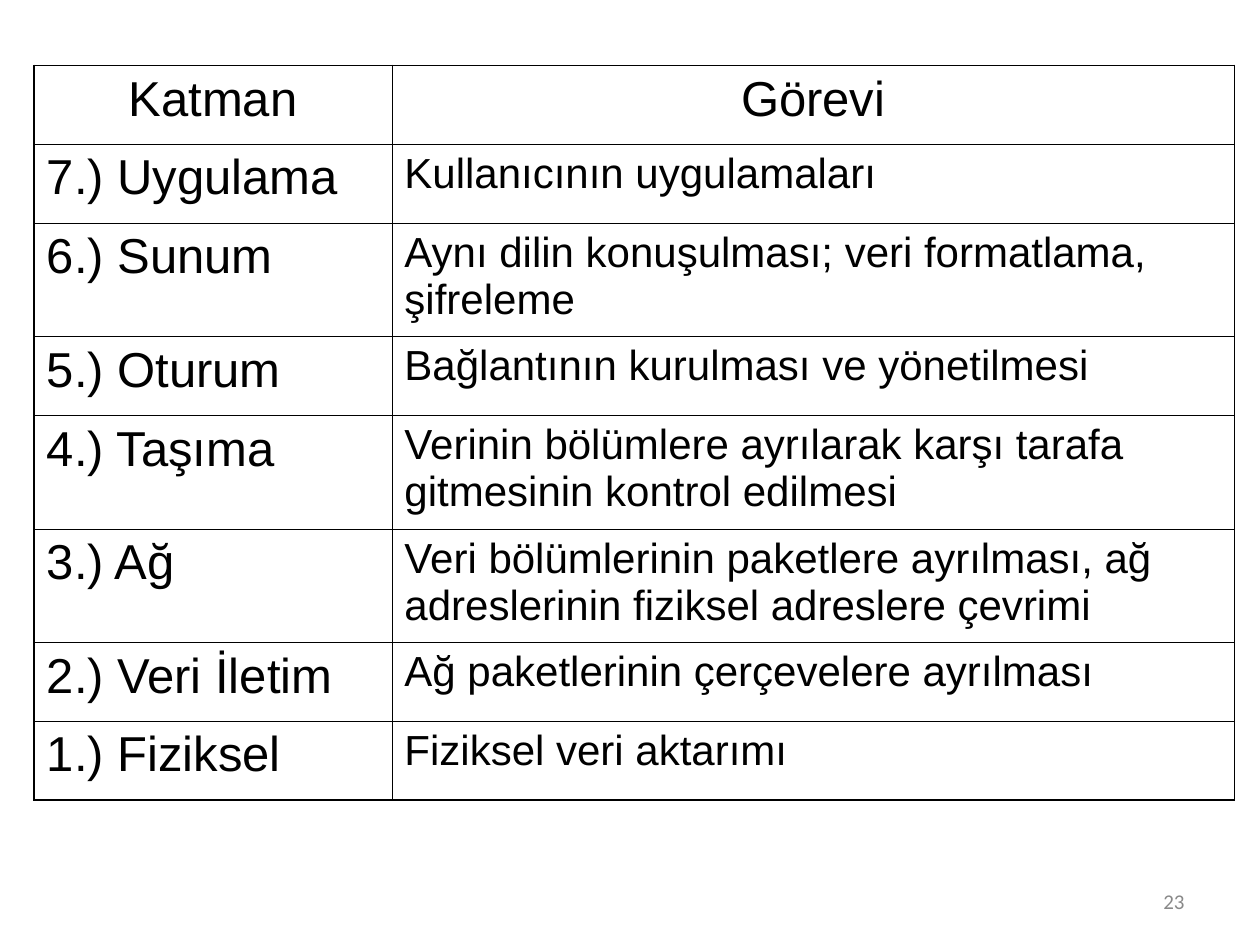
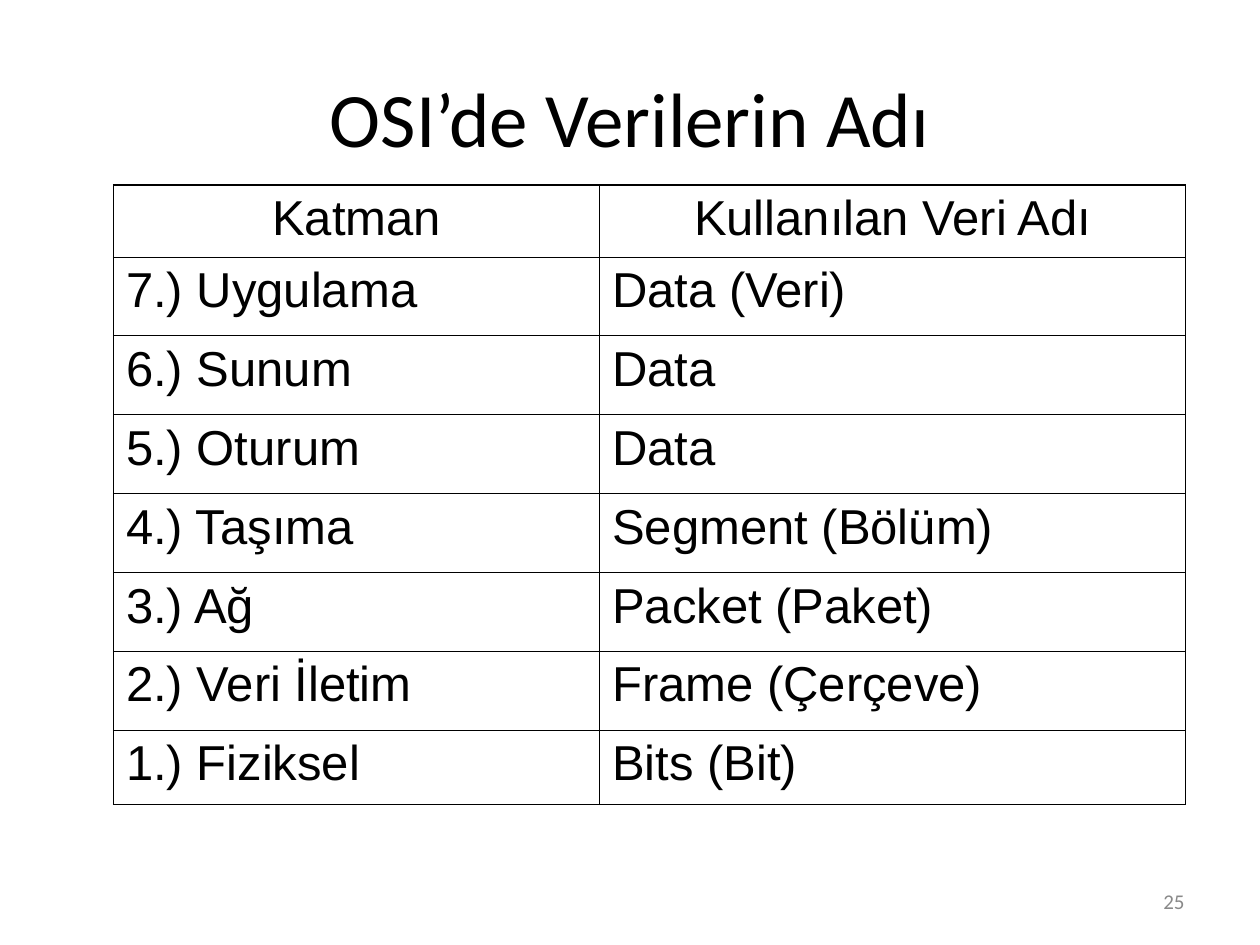
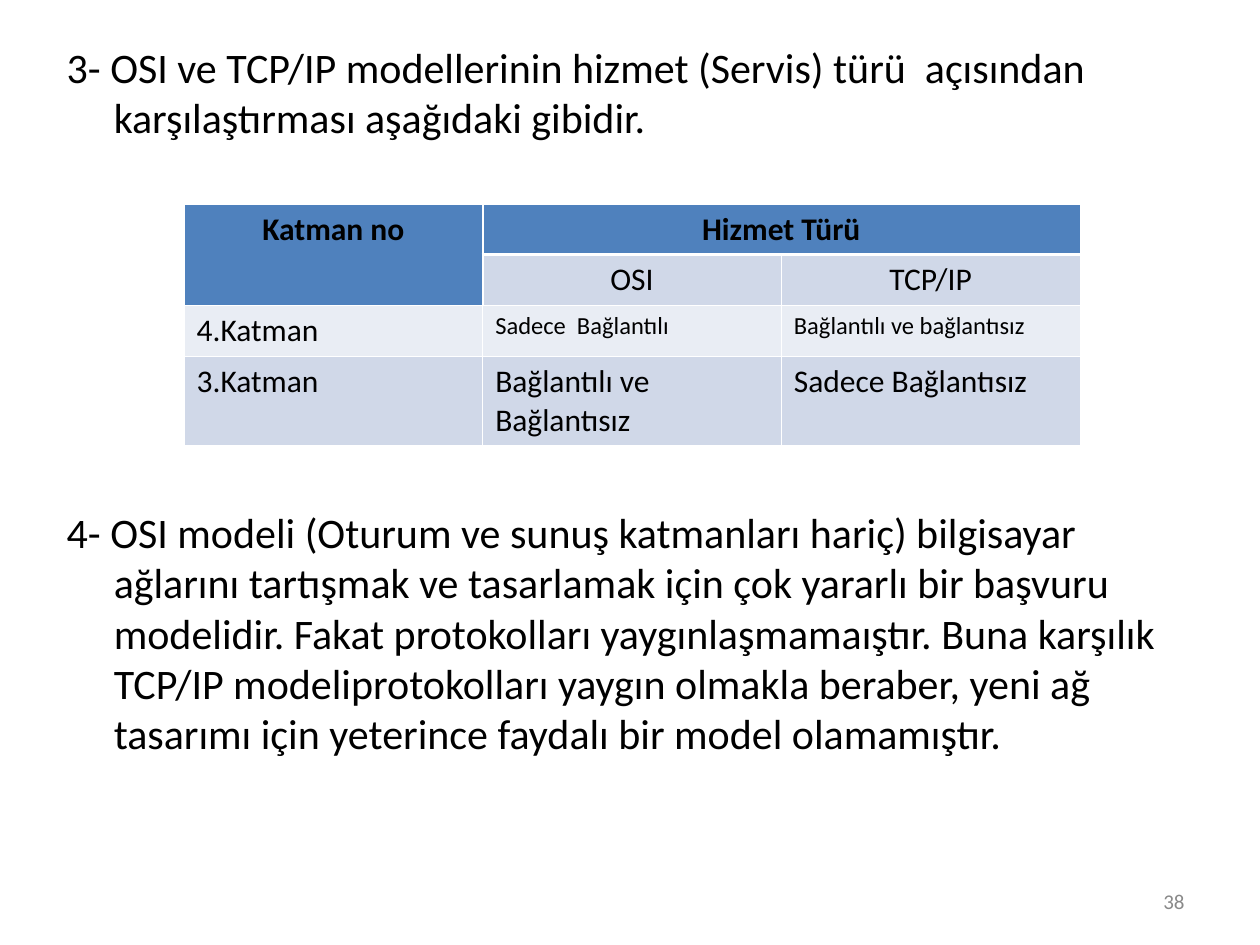
import lxml.etree
import pptx
import pptx.dml.color
import pptx.enum.text
import pptx.oxml.ns
import pptx.util

Cm, Pt = pptx.util.Cm, pptx.util.Pt
ALIGN = pptx.enum.text.PP_ALIGN
ANCHOR = pptx.enum.text.MSO_ANCHOR
qn = pptx.oxml.ns.qn

HUES = {"ink": "000000", "gray": "898989", "line": "FFFFFF",
        "head": "4F81BD", "dark": "D0D8E8", "pale": "E9EDF4"}

LAYERS = ["7.) Uygulama", "6.) Sunum", "5.) Oturum", "4.) Taşıma",
          "3.) Ağ", "2.) Veri İletim", "1.) Fiziksel"]
TASKS = ["Kullanıcının uygulamaları",
         "Aynı dilin konuşulması; veri formatlama, şifreleme",
         "Bağlantının kurulması ve yönetilmesi",
         "Verinin bölümlere ayrılarak karşı tarafa gitmesinin kontrol edilmesi",
         "Veri bölümlerinin paketlere ayrılması, ağ adreslerinin fiziksel adreslere çevrimi",
         "Ağ paketlerinin çerçevelere ayrılması",
         "Fiziksel veri aktarımı"]
UNITS = ["Data (Veri)", "Data", "Data", "Segment (Bölüm)",
         "Packet (Paket)", "Frame (Çerçeve)", "Bits (Bit)"]
NOTES = ["3- OSI ve TCP/IP modellerinin hizmet (Servis) türü  açısından "
         "karşılaştırması aşağıdaki gibidir.",
         "4- OSI modeli (Oturum ve sunuş katmanları hariç) bilgisayar ağlarını "
         "tartışmak ve tasarlamak için çok yararlı bir başvuru modelidir. Fakat "
         "protokolları yaygınlaşmamaıştır. Buna karşılık TCP/IP "
         "modeliprotokolları yaygın olmakla beraber, yeni ağ tasarımı için "
         "yeterince faydalı bir model olamamıştır."]


class Deck:
    def __init__(self):
        self.prs = pptx.Presentation()
        self.prs.slide_width, self.prs.slide_height = Cm(25.4), Cm(19.05)
        self.slide = None

    # Slide with its page number
    def page(self, layout, number):
        self.slide = self.prs.slides.add_slide(self.prs.slide_layouts[layout])
        box = self.slide.shapes.add_textbox(Cm(18.21), Cm(17.65), Cm(5.92), Cm(1.02))
        box.text_frame.word_wrap = True
        box.text_frame.vertical_anchor = ANCHOR.MIDDLE
        self.label(box.text_frame.paragraphs[0], number, 12, hue="gray", align=ALIGN.RIGHT)

    def label(self, para, text, size, name="Calibri", hue="ink", bold=False, align=ALIGN.LEFT):
        para.alignment = align
        run = para.add_run()
        run.text = text
        for key, value in {"name": name, "size": Pt(size), "bold": bold}.items():
            setattr(run.font, key, value)
        run.font.color.rgb = pptx.dml.color.RGBColor.from_string(HUES[hue])

    def place(self, shape, left, top, width, height):
        spots = {"left": left, "top": top, "width": width, "height": height}
        for key, value in spots.items():
            setattr(shape, key, Cm(value))
        shape.text_frame.auto_size = pptx.enum.text.MSO_AUTO_SIZE.NONE

    def title(self, text):
        shape = self.slide.shapes.title
        self.place(shape, 1.27, 0.76, 22.86, 3.18)
        shape.text_frame.vertical_anchor = ANCHOR.MIDDLE
        self.label(shape.text_frame.paragraphs[0], text, 44, align=ALIGN.CENTER)

    # List with hanging indents; gap is the space between items
    def body(self, items, gap):
        head = self.slide.shapes.title.element
        head.getparent().remove(head)
        shape = self.slide.placeholders[1]
        self.place(shape, 1.09, 0.71, 22.86, 16)
        frame = shape.text_frame
        frame.vertical_anchor = ANCHOR.TOP
        for i, text in enumerate(items):
            para = frame.add_paragraph() if i else frame.paragraphs[0]
            props = para._p.get_or_add_pPr()
            props.set("marL", str(Cm(0.95)))
            props.set("indent", str(Cm(-0.95)))
            lxml.etree.SubElement(props, qn("a:buNone"))
            para.space_before = Pt(gap if i else 0)
            self.label(para, text, 24)

    def grid(self, left, top, cols, rows):
        frame = self.slide.shapes.add_table(
            len(rows), len(cols), Cm(left), Cm(top), Cm(sum(cols)), Cm(sum(rows)))
        table = frame.table
        table.first_row = table.horz_banding = False
        for col, width in zip(table.columns, cols):
            col.width = Cm(width)
        for row, height in zip(table.rows, rows):
            row.height = Cm(height)
        return table

    # Cell edges come before the cell fill
    def edge(self, cell, hue, bold, thick):
        props = cell._tc.get_or_add_tcPr()
        for side in "LRTB":
            width = Pt(thick if side in bold else 0.45)
            line = lxml.etree.SubElement(props, qn(f"a:ln{side}"), w=str(width))
            fill = lxml.etree.SubElement(line, qn("a:solidFill"))
            lxml.etree.SubElement(fill, qn("a:srgbClr"), val=HUES[hue])

    # Ruled table of layers, with a heavier outer frame
    def layers(self, left, top, cols, rows, heads, facts, size):
        table = self.grid(left, top, cols, rows)
        for r, pair in enumerate([heads, *zip(LAYERS, facts)]):
            for c, text in enumerate(pair):
                cell = table.cell(r, c)
                bold = "RL"[c == 0]
                bold += "T" if r == 0 else "B" if r == len(rows) - 1 else ""
                self.edge(cell, "ink", bold, 1.08)
                cell.fill.background()
                self.label(cell.text_frame.paragraphs[0], text,
                           size if r and c else 28, "Arial",
                           align=ALIGN.LEFT if r else ALIGN.CENTER)

    # Service table: a two-row head, then filled bands
    def service(self, left, top, cols, rows, texts):
        table = self.grid(left, top, cols, rows)
        bands = ["head", "dark", "pale", "dark"]
        heavy = {(0, 0): "R", (1, 0): "R", (0, 1): "LB", (0, 2): "B",
                 (1, 1): "LT", (1, 2): "T"}
        for r, line in enumerate(texts):
            for c, text in enumerate(line):
                cell = table.cell(r, c)
                self.edge(cell, "line", heavy.get((r, c), ""), 1.47)
                band = "head" if (r, c) == (1, 0) else bands[r]
                cell.fill.solid()
                cell.fill.fore_color.rgb = pptx.dml.color.RGBColor.from_string(HUES[band])
                if text:
                    self.label(cell.text_frame.paragraphs[0], text,
                               14 if r == 2 and c else 18, bold=r == 0,
                               align=ALIGN.CENTER if r < 2 else ALIGN.LEFT)
        table.cell(0, 0).merge(table.cell(1, 0))
        table.cell(0, 1).merge(table.cell(0, 2))


def main():
    deck = Deck()

    # Layers and their tasks
    deck.page(6, "23")
    one, two = 1.59, 2.28
    deck.layers(0.69, 1.32, [7.21, 16.99], [one, one, two, one, two, two, one, one],
                ("Katman", "Görevi"), TASKS, 24)

    # Layers and their data units
    deck.page(5, "25")
    deck.title("OSI’de Verilerin Adı")
    deck.layers(2.29, 3.73, [9.8, 11.81], [1.45] + [one] * 6 + [1.5],
                ("Katman", "Kullanılan Veri Adı"), UNITS, 28)

    # Service types compared
    deck.page(1, "38")
    deck.body(NOTES, 208)
    deck.service(3.71, 4.11, [6.02] * 3, [1.02, 1.02, 1.04, 1.78], [
        ["Katman no", "Hizmet Türü", ""],
        ["", "OSI", "TCP/IP"],
        ["4.Katman", "Sadece  Bağlantılı", "Bağlantılı ve bağlantısız"],
        ["3.Katman", "Bağlantılı ve Bağlantısız", "Sadece Bağlantısız"]])

    deck.prs.save("out.pptx")


if __name__ == "__main__":
    main()
